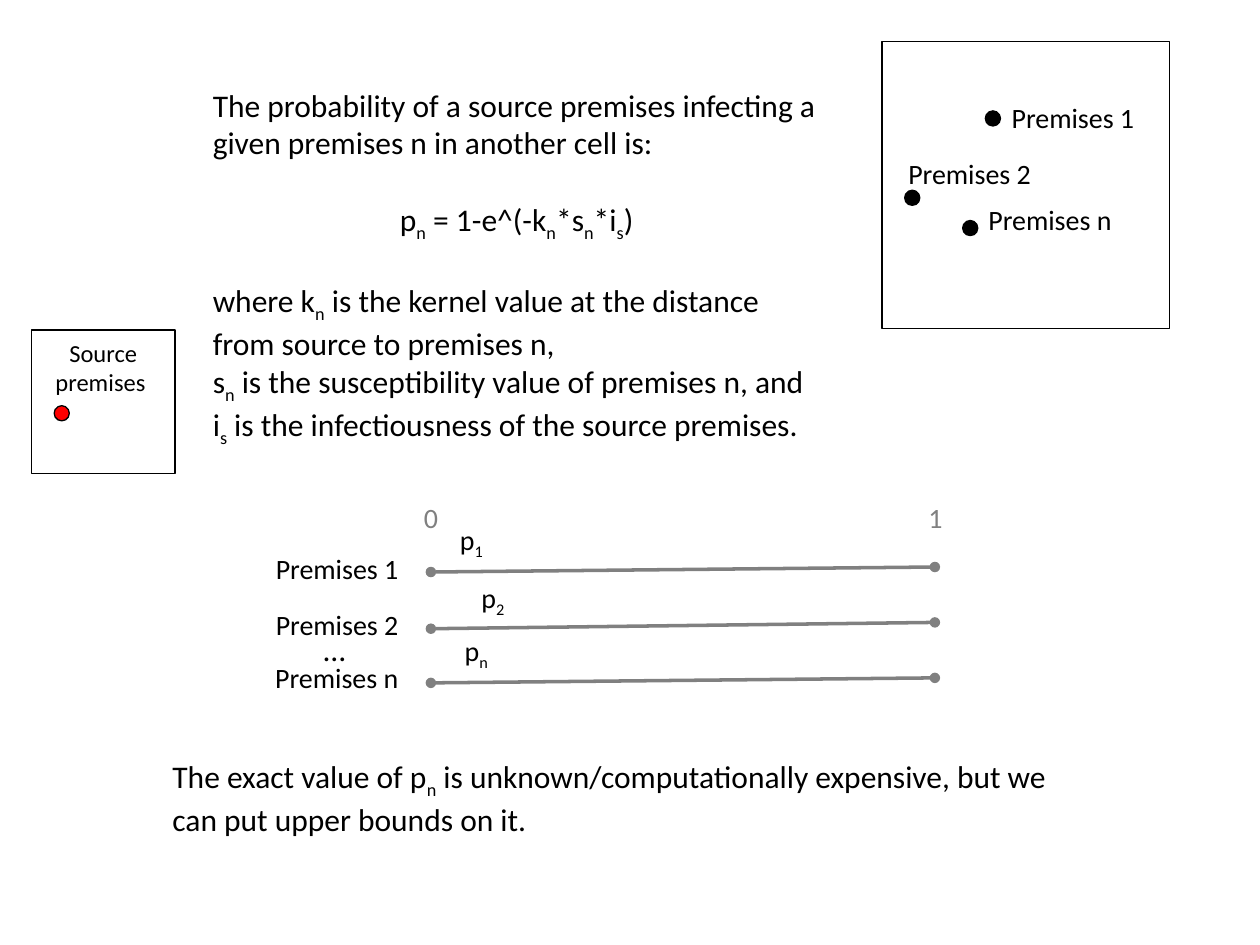
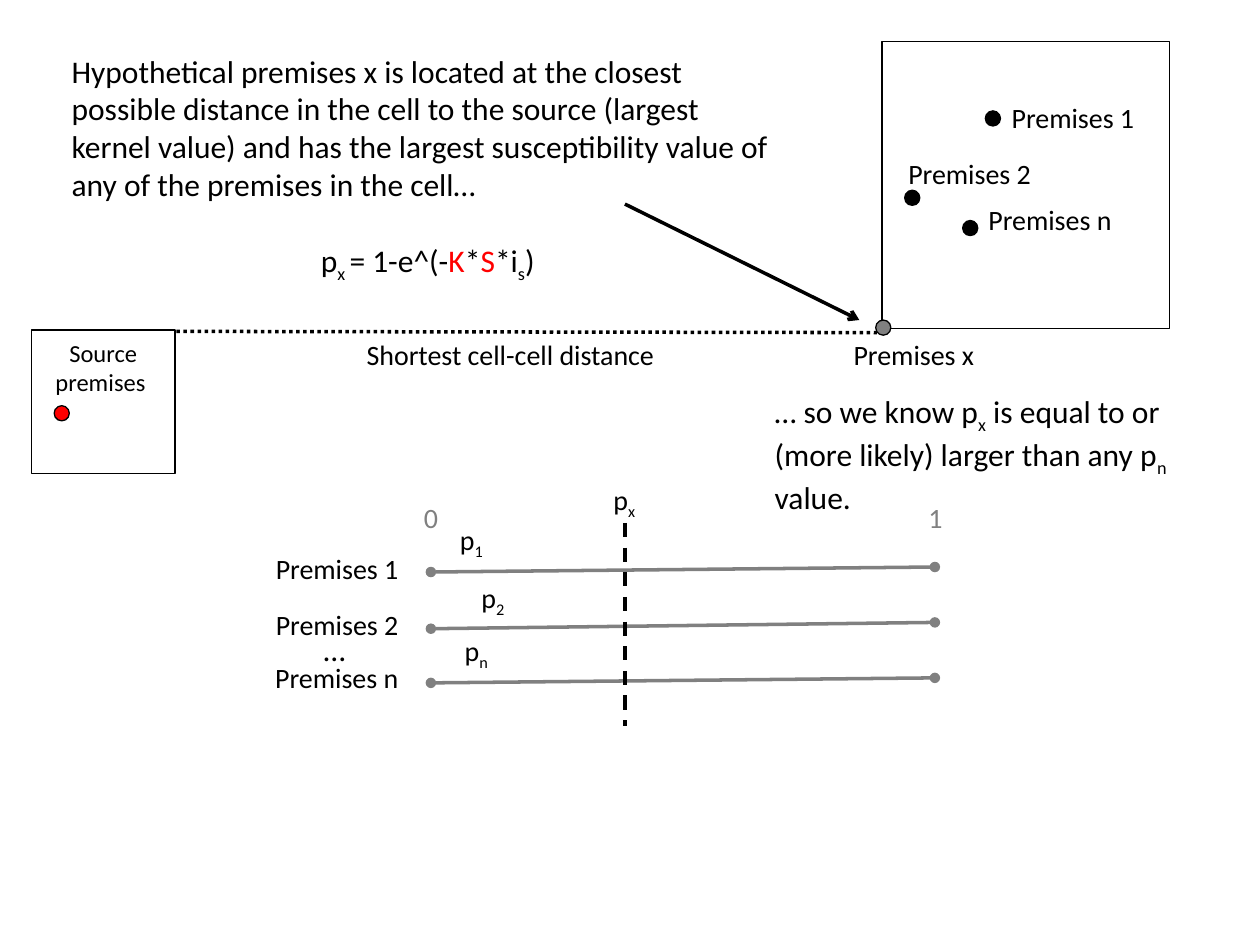
from lxml import etree
from pptx import Presentation
from pptx.dml.color import RGBColor
from pptx.enum.dml import MSO_LINE
from pptx.enum.shapes import MSO_CONNECTOR, MSO_SHAPE
from pptx.enum.text import MSO_AUTO_SIZE, PP_ALIGN
from pptx.oxml.ns import qn
from pptx.util import Inches, Pt

LEFT, CENTER, RIGHT = PP_ALIGN.LEFT, PP_ALIGN.CENTER, PP_ALIGN.RIGHT
RECTANGLE, OVAL = MSO_SHAPE.RECTANGLE, MSO_SHAPE.OVAL
STRAIGHT = MSO_CONNECTOR.STRAIGHT
DASH, DOT = MSO_LINE.DASH, MSO_LINE.ROUND_DOT
FIT_SHAPE = MSO_AUTO_SIZE.SHAPE_TO_FIT_TEXT

FONT = "Calibri"
BLACK, GREY, RED = "000000", "808080", "FF0000"
BODY, LABEL, SMALL = 18, 16, 14
ONE_LINE = 22  # points, height of one line of body text
DOT_SIZE = 0.12
SCALE_LEFT, SCALE_RIGHT = 3.42, 7.42

# name, label top, line start y, line end y, probability left and top
SCALES = [
    ("1", 4.33, 4.54, 4.50, 3.53, 4.10),
    ("2", 4.77, 4.99, 4.94, 3.70, 4.56),
    ("n", 5.19, 5.42, 5.38, 3.57, 4.98),
]
# name, label left and top, dot left and top
CELL_PREMISES = [
    ("2", 7.00, 1.19, 7.18, 1.51),
    ("1", 7.82, 0.75, 7.82, 0.88),
    ("n", 7.64, 1.56, 7.64, 1.75),
]


def rgb(hex_colour):
    """Turn a hex string into a colour."""
    return RGBColor.from_string(hex_colour)


def sub(text):
    """Describe a subscript run."""
    return text, BLACK, True


def red(text):
    """Describe a highlighted run."""
    return text, RED, False


def add_run(paragraph, part, size, colour):
    """Add one run, given as plain text or as (text, colour, subscript)."""
    text, colour, lowered = (part, colour, False) if isinstance(part, str) else part
    run = paragraph.add_run()
    run.text = text
    run.font.name = FONT
    run.font.size = Pt(size)
    run.font.color.rgb = rgb(colour)
    if lowered:
        run.font._element.set("baseline", "-25000")


def add_text(slide, box, paragraphs, size=LABEL, colour=BLACK):
    """Add a text box; each paragraph is (alignment, points before, runs)."""
    frame = slide.shapes.add_textbox(*map(Inches, box)).text_frame
    frame.word_wrap = True
    frame.auto_size = FIT_SHAPE
    for index, (alignment, gap, parts) in enumerate(paragraphs):
        paragraph = frame.add_paragraph() if index else frame.paragraphs[0]
        paragraph.alignment = alignment
        paragraph.space_before = Pt(gap)
        for part in parts:
            add_run(paragraph, part, size, colour)


def add_label(slide, box, *parts, align=RIGHT, size=LABEL, colour=BLACK):
    """Add a text box of one paragraph."""
    add_text(slide, box, [(align, 0, parts)], size, colour)


def add_outline(slide, kind, left, top, side, fill=None):
    """Add a square or circle with a thin black outline."""
    shape = slide.shapes.add_shape(kind, *map(Inches, (left, top, side, side)))
    shape.shadow.inherit = False
    shape.line.color.rgb = rgb(BLACK)
    shape.line.width = Pt(0.75)
    if fill:
        shape.fill.solid()
        shape.fill.fore_color.rgb = rgb(fill)
    else:
        shape.fill.background()


def add_dot(slide, left, top, fill=BLACK):
    """Add the dot that marks a premises."""
    add_outline(slide, OVAL, left, top, DOT_SIZE, fill)


def add_line(slide, start, end, colour=BLACK, dash=None, head=None, tail=None):
    """Add a straight line with optional dashes and end marks."""
    line = slide.shapes.add_connector(STRAIGHT, *map(Inches, (*start, *end)))
    line.line.color.rgb = rgb(colour)
    line.line.width = Pt(2)
    if dash:
        line.line.dash_style = dash
    outline = line.line._get_or_add_ln()
    for tag, mark in (("a:headEnd", head), ("a:tailEnd", tail)):
        if mark:
            etree.SubElement(outline, qn(tag)).set("type", mark)
    etree.SubElement(line._element.spPr, qn("a:effectLst"))


def add_scales(slide):
    """Draw the probability scales from 0 to 1, one for each premises."""
    for name, label_top, start_y, end_y, p_left, p_top in SCALES:
        add_line(slide, (SCALE_LEFT, start_y), (SCALE_RIGHT, end_y), GREY,
                 head="oval", tail="oval")
        add_label(slide, (1.98, label_top, 1.28, 0.38), f"Premises {name}")
        add_label(slide, (p_left, p_top, 0.4, 0.37), "p", sub(name))
    for value, left, width in (("0", 3.22, 0.4), ("1", 7.21, 0.43)):
        add_label(slide, (left, 3.92, width, 0.37), value, align=CENTER, colour=GREY)
    add_label(slide, (2.47, 4.95, 0.45, 0.4), "…", align=LEFT, size=BODY)


def add_cells(slide):
    """Draw the source cell and the cell holding the other premises."""
    add_outline(slide, RECTANGLE, 7, 0.33, 2.28)
    for name, left, top, dot_left, dot_top in CELL_PREMISES:
        add_label(slide, (left, top, 1.28, 0.38), f"Premises {name}")
        add_dot(slide, dot_left, dot_top)
    add_label(slide, (0.25, 2.63, 1.14, 0.57), "Source premises ",
              align=CENTER, size=SMALL)
    add_outline(slide, RECTANGLE, 0.25, 2.62, 1.14)
    add_dot(slide, 0.43, 3.22, RED)


def add_diagram_slide(prs):
    """Add a blank slide with the scales and cells that both slides share."""
    slide = prs.slides.add_slide(prs.slide_layouts[6])
    add_scales(slide)
    add_cells(slide)
    return slide


def build_probability(prs):
    """Slide 1: the infection probability of each premises."""
    slide = add_diagram_slide(prs)
    add_text(slide, (1.59, 0.63, 5.02, 3.13), [
        (LEFT, 0, ["The probability of a source premises infecting a given "
                   "premises n in another cell is:"]),
        (CENTER, ONE_LINE, ["p", sub("n"), " = 1-e^(-k", sub("n"), "*s", sub("n"),
                            "*i", sub("s"), ")"]),
        (LEFT, ONE_LINE, ["where k", sub("n"), " is the kernel value at the distance "
                          "from source to premises n, "]),
        (LEFT, 0, ["s", sub("n"), " is the susceptibility value of premises n, and"]),
        (LEFT, 0, ["i", sub("s"), " is the infectiousness of the source premises."]),
    ], BODY)
    add_label(slide, (1.27, 5.96, 7.3, 1.01), "The exact value of p", sub("n"),
              " is unknown/computationally expensive, but we can put upper bounds "
              "on it.", align=LEFT, size=BODY)


def build_upper_bound(prs):
    """Slide 2: hypothetical premises x as the upper bound."""
    slide = add_diagram_slide(prs)
    add_label(slide, (4.62, 3.78, 0.67, 0.37), "p", sub("x"), align=CENTER)
    add_line(slide, (4.96, 4.15), (4.96, 5.76), dash=DASH)
    add_text(slide, (0.47, 0.36, 5.85, 2.22), [
        (LEFT, 0, ["Hypothetical premises x is located at the closest possible "
                   "distance in the cell to the source (largest kernel value) and has "
                   "the largest susceptibility value of any of the premises in the "
                   "cell…"]),
        (CENTER, ONE_LINE, ["p", sub("x "), "= 1-e^(-", red("K"), "*", red("S"),
                            "*i", sub("s"), ")"]),
    ], BODY)
    add_line(slide, (4.96, 1.62), (6.82, 2.54), tail="arrow")
    add_line(slide, (1.4, 2.63), (6.96, 2.64), dash=DOT)
    add_dot(slide, 6.95, 2.54, GREY)
    add_label(slide, (6.36, 2.63, 1.47, 0.37), "Premises x")
    add_label(slide, (2.65, 2.63, 2.64, 0.37), "Shortest cell-cell distance")
    add_label(slide, (6.05, 3.06, 3.41, 1.01), "… so we know p", sub("x"),
              " is equal to or (more likely) larger than any p", sub("n"), " value.",
              align=LEFT, size=BODY)


def main():
    """Build both slides and save them."""
    prs = Presentation()
    prs.slide_width, prs.slide_height = Inches(10), Inches(7.5)
    build_probability(prs)
    build_upper_bound(prs)
    prs.save("out.pptx")


main()
